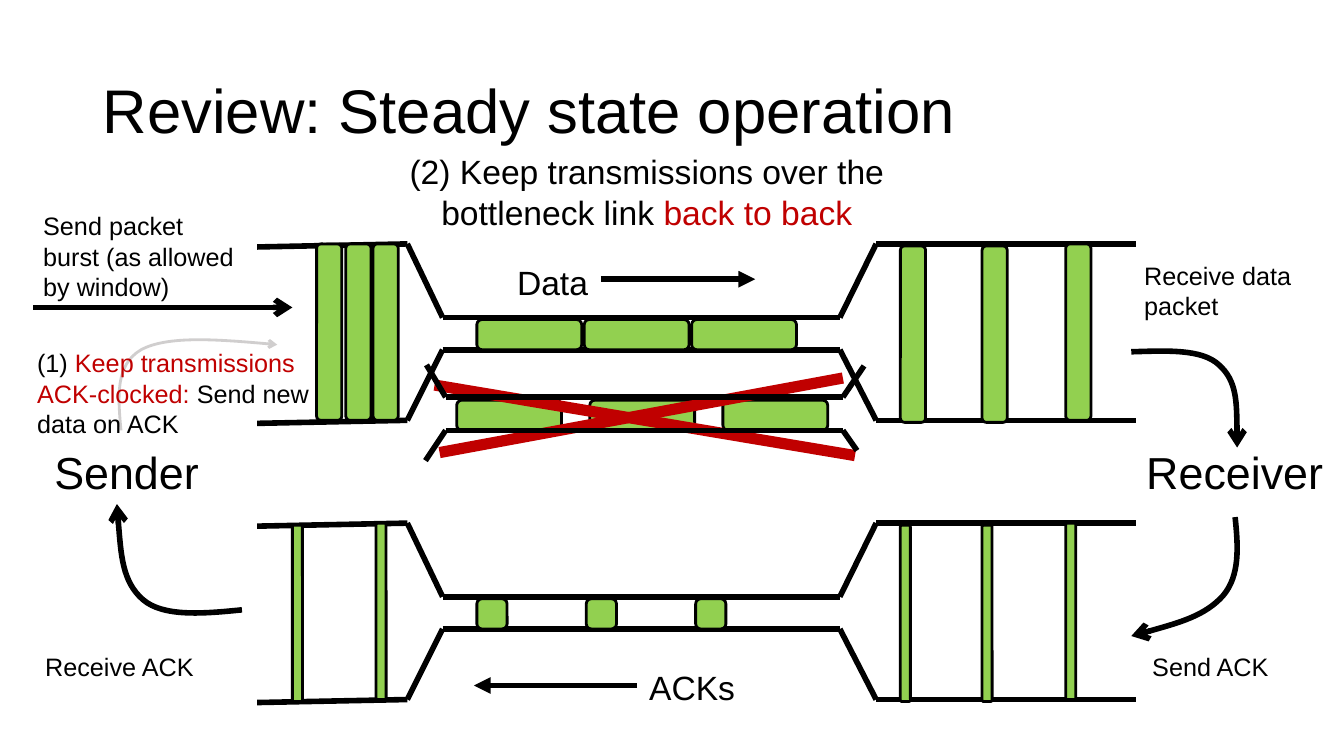
from lxml import etree
from pptx import Presentation, util as u
from pptx.dml.color import RGBColor
from pptx.enum import shapes, text
from pptx.oxml.ns import qn

COLORS = {"ink": "000000", "packet": "92D050", "alert": "C00000", "faded": "D0CECE"}
UNIT = u.Inches(0.1)


def grid(*cells):
    """Turn counts of 0.1-inch grid cells into lengths."""
    return [round(cell * UNIT) for cell in cells]


def color(name):
    """Look up a named colour."""
    return RGBColor.from_string(COLORS[name])


def style_line(shape, ink, width, head):
    """Colour a line, drop its shadow and add an optional arrowhead."""
    shape.line.color.rgb = color(ink)
    shape.line.width = u.Pt(width)
    if head:
        etree.SubElement(shape.line._get_or_add_ln(), qn("a:tailEnd"), type=head)
    properties = shape._element.spPr
    if properties.find(qn("a:effectLst")) is None:
        etree.SubElement(properties, qn("a:effectLst"))


def add_line(slide, start, end, ink="ink", width=4, head=None):
    """Draw a straight line between two grid points."""
    line = slide.shapes.add_connector(
        shapes.MSO_CONNECTOR.STRAIGHT, *grid(*start, *end))
    style_line(line, ink, width, head)


def add_curve(slide, points, ink="ink", width=4):
    """Draw an arrow of cubic curves: a start, then three points per curve."""
    corners = [grid(*point) for point in points]
    builder = slide.shapes.build_freeform(*corners[0])
    builder.add_line_segments(corners[1:], close=False)
    curve = builder.convert_to_shape()
    segments = list(curve._element.iter(qn("a:lnTo")))
    route = segments[0].getparent()
    for first in range(0, len(segments), 3):
        cubic = etree.SubElement(route, qn("a:cubicBezTo"))
        for segment in segments[first:first + 3]:
            cubic.append(segment[0])
            route.remove(segment)
    curve.fill.background()
    style_line(curve, ink, width, "arrow")


def add_packet(slide, box):
    """Draw one packet as a rounded block."""
    packet = slide.shapes.add_shape(
        shapes.MSO_SHAPE.ROUNDED_RECTANGLE, *grid(*box))
    packet.shadow.inherit = False
    packet.fill.solid()
    packet.fill.fore_color.rgb = color("packet")
    packet.line.color.rgb = color("ink")
    packet.line.width = u.Pt(2)


def add_label(slide, box, runs, size, align=text.PP_ALIGN.LEFT,
              anchor=text.MSO_ANCHOR.TOP, spacing=1.0):
    """Write one paragraph of (wording, colour) runs in a box."""
    frame = slide.shapes.add_textbox(*grid(*box)).text_frame
    frame.word_wrap = True
    frame.vertical_anchor = anchor
    paragraph = frame.paragraphs[0]
    paragraph.alignment = align
    paragraph.line_spacing = spacing
    paragraph.font.size = u.Pt(size)
    paragraph.font.name = "Arial"
    for wording, ink in runs:
        run = paragraph.add_run()
        run.text = wording
        run.font.color.rgb = color(ink)


def draw_pipe(slide, box):
    """Draw a wide link that narrows to a bottleneck and widens again."""
    left, top, width, height = box
    entry, neck, neck_end, leave = left + 14.9, left + 18.4, left + 57.8, left + 61.4
    right, bottom = left + width, top + height
    for outer, inner in ((top, top + 7.3), (bottom, bottom - 7)):
        add_line(slide, (left, outer + 0.3), (entry, outer))
        add_line(slide, (entry, outer), (neck, inner))
        add_line(slide, (neck, inner), (neck_end, inner))
        add_line(slide, (neck_end, inner), (leave, outer))
        add_line(slide, (leave, outer), (right, outer))


def draw_flow(slide, box, incoming, queued, outgoing):
    """Draw a pipe and its packets; each set gives a width and (column, drop) places."""
    left, top, _, height = box
    draw_pipe(slide, box)
    for width, places in (incoming, outgoing):
        for column, drop in places:
            add_packet(slide, (left + column, top + drop, width, height))
    width, pitch = queued
    for index in range(3):
        add_packet(slide, (left + 21.8 + index * pitch, top + 7.5, width, 3))


def draw_gapped_link(slide, box):
    """Draw the crossed-out bottleneck whose packets have gaps between them."""
    left, top, width, height = box
    right, bottom = left + width, top + height
    for index in range(3):
        add_packet(slide, (left + 1.1 + index * 13.2, top + 0.3, 10.4, 3))
    add_line(slide, (left - 1.1, top - 1.2), (right + 1.2, bottom + 2.5), "alert", 8)
    add_line(slide, (left - 0.6, bottom + 2.2), (right, top - 1.9), "alert", 8)
    add_line(slide, (left - 1.9, top - 3.2), (left, top))
    add_line(slide, (left - 2, bottom + 3), (left, bottom))
    add_line(slide, (right + 2.1, top - 3.1), (right, top))
    add_line(slide, (right + 1.4, bottom + 2), (right, bottom))
    for level in (top, bottom):
        add_line(slide, (left, level), (right, level))


def draw_sender(slide, box):
    """Draw the sender, its notes and its arrows."""
    left, top, width, height = box
    middle = top + 23.2
    add_label(slide, (left + 1.1, middle, 18.5, 6.4), [("Sender", "ink")], 32)
    add_label(slide, (left, top, 22.1, 10.1),
              [("Send packet burst (as allowed by window)", "ink")], 18)
    add_line(slide, (left, top + 10.1), (left + width, top + 10.1), head="arrow")
    add_label(slide, (left + 0.2, top + height - 4, 19.6, 4), [("Receive ACK", "ink")], 18)
    offsets = [(20.7, 40.1), (16.8, 40.5), (12.9, 40.8), (10.9, 39.1),
               (8.8, 37.3), (8.6, 33.4), (8.3, 29.6)]
    add_curve(slide, [(left + x, top + y) for x, y in offsets])
    offsets = [(8.7, 22.3), (8.4, 19), (8.1, 15.8), (10.7, 14.3),
               (13.3, 12.9), (18.7, 13.3), (24.2, 13.8)]
    add_curve(slide, [(left + x, top + y) for x, y in offsets], "faded", 2)
    add_label(slide, (left - 0.6, top + 13.6, 30, 10.1),
              [("(1) ", "ink"), ("Keep transmissions ACK-clocked: ", "alert"),
               ("Send new data on ACK", "ink")], 18)


def draw_receiver(slide, box):
    """Draw the receiver, its notes and its arrows."""
    left, top, width, height = box
    add_label(slide, (left + 0.2, top + 18.3, width, 6.4), [("Receiver", "ink")], 32)
    add_label(slide, (left, top, 19.6, 7.1), [("Receive data packet", "ink")], 18)
    add_label(slide, (left + 0.8, top + height - 4, 19.6, 4), [("Send ACK", "ink")], 18)
    arriving = [(-0.3, 9.6), (3.2, 9.5), (6.7, 9.3), (8.4, 10.9),
                (10.2, 12.5), (10.2, 15.8), (10.2, 19.1)]
    replying = [(10, 26), (10.3, 28.9), (10.5, 31.8), (8.8, 33.8),
                (7, 35.8), (3.4, 36.8), (-0.3, 37.8)]
    for offsets in (arriving, replying):
        add_curve(slide, [(left + x, top + y) for x, y in offsets])


def draw_headings(slide, box):
    """Write the title, the bottleneck note and the two direction labels."""
    left, top, width, height = box
    add_label(slide, box, [("Review: Steady state operation", "ink")], 44,
              anchor=text.MSO_ANCHOR.MIDDLE, spacing=0.9)
    add_label(slide, (left + 29.1, top + 10.5, 51.7, 9.1),
              [("(2) Keep transmissions over the bottleneck link ", "ink"),
               ("back to back", "alert")], 24, text.PP_ALIGN.CENTER)
    add_label(slide, (left + 41.1, top + 21.5, 28.4, 5), [("Data", "ink")], 24)
    add_line(slide, (left + 50.4, top + 23.7), (left + 65.7, top + 23.7), head="triangle")
    add_label(slide, (left + 54.2, top + 61.7, 11.2, 5), [("ACKs", "ink")], 24)
    add_line(slide, (left + 54, top + 64), (left + 37.8, top + 64), head="triangle")


def main():
    """Build and save the slide."""
    presentation = Presentation()
    presentation.slide_width, presentation.slide_height = u.Inches(13.33), u.Inches(7.5)
    slide = presentation.slides.add_slide(presentation.slide_layouts[6])
    delivered = [(63.8, 0.2), (71.9, 0.2), (80.2, 0)]
    draw_flow(slide, (25.5, 24.2, 87.2, 17.5),
              (2.5, [(5.9, 0), (8.8, 0), (11.5, 0)]), (10.4, 10.65), (2.5, delivered))
    draw_flow(slide, (25.5, 51.9, 87.2, 17.5),
              (1, [(3.5, 0.2), (11.8, 0)]), (3, 10.85), (1, delivered))
    draw_sender(slide, (3.3, 20.4, 25.7, 47.7))
    draw_receiver(slide, (112.5, 25.3, 20.1, 42.8))
    draw_headings(slide, (9.2, 4, 115, 14.5))
    draw_gapped_link(slide, (44.2, 39.4, 39.4, 3.3))
    presentation.save("out.pptx")


if __name__ == "__main__":
    main()
